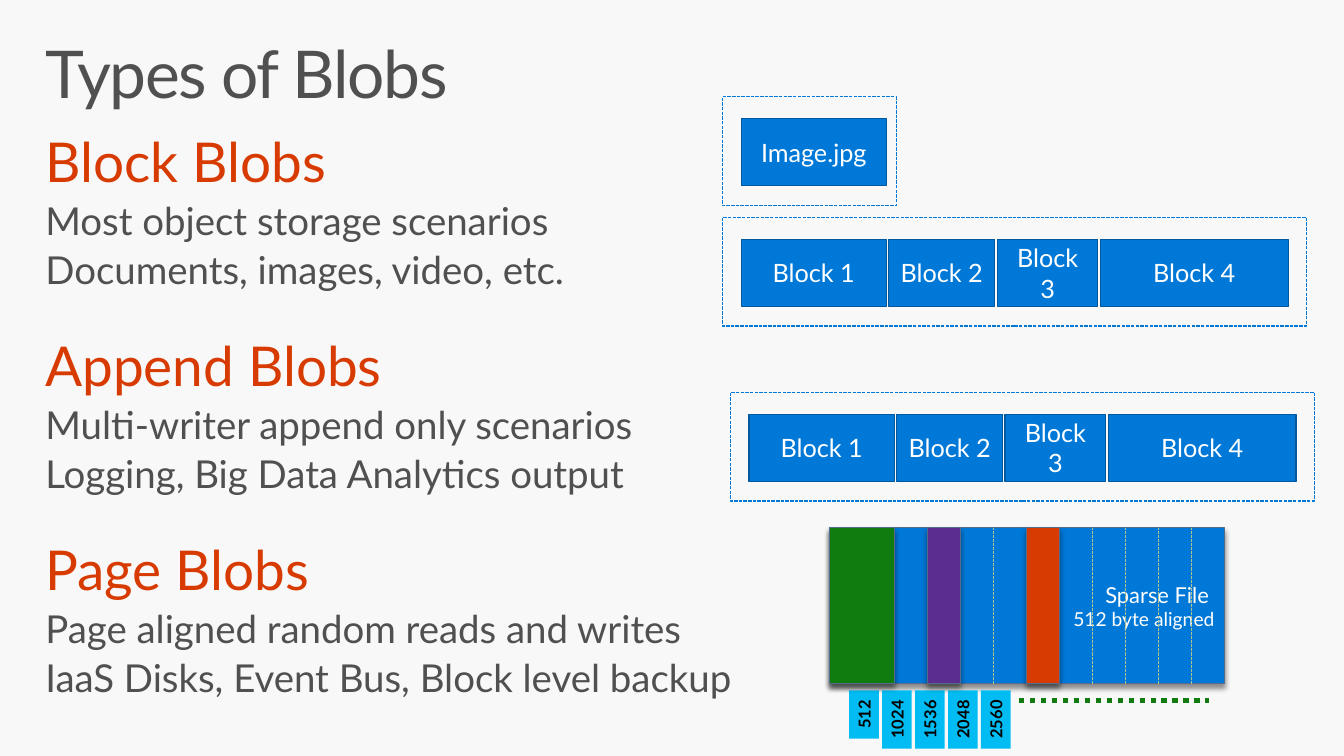
from dataclasses import dataclass
from itertools import accumulate

from lxml import etree
from pptx import Presentation
from pptx.dml.color import RGBColor as RGB
from pptx.enum.dml import MSO_LINE as DASH
from pptx.enum.shapes import MSO_CONNECTOR as CONN, MSO_SHAPE as SHAPE
from pptx.enum.text import MSO_ANCHOR as ANCHOR, MSO_AUTO_SIZE as AUTO, PP_ALIGN as ALIGN
from pptx.oxml import parse_xml
from pptx.oxml.ns import nsdecls, qn
from pptx.util import Inches, Pt

COLS, ROWS = 136, 76.5
CELL = Inches(0.1)


@dataclass(frozen=True)
class Theme:
    font: str = "Lato"
    back: str = "F8F8F8"
    text: str = "505050"
    white: str = "FFFFFF"
    black: str = "000000"
    blue: str = "0078D7"
    edge: str = "00599F"
    cyan: str = "00BCF2"
    green: str = "107C10"
    purple: str = "5C2D91"
    orange: str = "D83B01"
    slate: str = "566C8E"
    divider: str = "B1C28D"
    title: float = 48
    heading: float = 40
    detail: float = 28
    block: float = 18.4
    sparse: float = 16
    note: float = 14
    offset: float = 12
    thin: float = 0.75
    outline: float = 0.85
    dots: float = 4


T = Theme()

SECTIONS = [
    ("Block Blobs", "Most object storage scenarios", "Documents, images, video, etc."),
    ("Append Blobs", "Multi-writer append only scenarios", "Logging, Big Data Analytics output"),
    ("Page Blobs", "Page aligned random reads and writes",
     "IaaS Disks, Event Bus, Block level backup"),
]
BLOCKS = [("Block 1", 14.7), ("Block 2", 10.7), ("Block 3", 10.2), ("Block 4", 19)]
BLOCK_GAP, BLOCK_H = 0.25, 6.8
SPARSE_X, SPARSE_Y, SPARSE_W, SPARSE_H = 83.9, 53.4, 40, 15.8
PAGES = 12
PAGE_W = SPARSE_W / PAGES
USED_PAGES = [(0, 2, T.green), (3, 1, T.purple), (6, 1, T.orange)]
OFFSETS = ["512", "1024", "1536", "2048", "2560"]


def grid(*cells):
    return [round(c * CELL) for c in cells]


def apply(obj, **values):
    for name, value in values.items():
        setattr(obj, name, value)


def style_line(line, color, width, dash=None):
    line.color.rgb = RGB.from_string(color)
    apply(line, width=Pt(width), dash_style=dash)


def write(p, text, size, color, bold=False, **layout):
    apply(p, **layout)
    r = p.add_run()
    r.text = text
    apply(r.font, name=T.font, size=Pt(size), bold=bold)
    r.font.color.rgb = RGB.from_string(color)
    return r


def add_rect(s, x, y, w, h, fill=None, line=None, width=T.outline, dash=None):
    sp = s.shapes.add_shape(SHAPE.RECTANGLE, *grid(x, y, w, h))
    sp.shadow.inherit = False
    if fill:
        sp.fill.solid()
        sp.fill.fore_color.rgb = RGB.from_string(fill)
    else:
        sp.fill.background()
    if line:
        style_line(sp.line, line, width, dash)
    else:
        sp.line.fill.background()
    return sp


def add_page_area(s, first, count, fill):
    sp = add_rect(s, SPARSE_X + first * PAGE_W, SPARSE_Y, count * PAGE_W, SPARSE_H,
                  fill, T.slate, T.thin)
    sp._element.spPr.find(qn("a:effectLst")).append(parse_xml(
        f'<a:outerShdw {nsdecls("a")} blurRad="{Pt(4)}" dist="{Pt(3)}" dir="5400000" '
        f'rotWithShape="0"><a:srgbClr val="{T.black}"><a:alpha val="43000"/>'
        '</a:srgbClr></a:outerShdw>'))
    return sp


def add_line(s, x1, y1, x2, y2, color, width, dash):
    c = s.shapes.add_connector(CONN.STRAIGHT, *grid(x1, y1, x2, y2))
    style_line(c.line, color, width, dash)
    etree.SubElement(c._element.spPr, qn("a:effectLst"))


def add_title(s, text):
    sp = s.shapes.title
    left, top, width, height = grid(3, 3.2, 130, 10)
    apply(sp, left=left, top=top, width=width, height=height)
    tf = sp.text_frame
    apply(tf, margin_left=Inches(0.16), margin_right=Inches(0.16), margin_top=Inches(0.1),
          margin_bottom=Inches(0.1), vertical_anchor=ANCHOR.TOP, auto_size=AUTO.NONE)
    r = write(tf.paragraphs[0], text, T.title, T.text, alignment=ALIGN.LEFT, line_spacing=0.9)
    r.font._element.set("spc", "-100")


def add_sections(s):
    tf = s.shapes.add_textbox(*grid(3, 12.7, 75, 61.4)).text_frame
    apply(tf, word_wrap=True, margin_left=Inches(0.16), margin_right=Inches(0.16),
          margin_top=Inches(0.1), margin_bottom=Inches(0.1))
    for i, (heading, *details) in enumerate(SECTIONS):
        p = tf.add_paragraph() if i else tf.paragraphs[0]
        write(p, heading, T.heading, T.orange, line_spacing=0.9,
              space_before=Pt(33.6 if i else 0))
        for detail in details:
            write(tf.add_paragraph(), detail, T.detail, T.text,
                  line_spacing=0.9, space_before=Pt(5.6))


def add_blob(s, x, y, frame_w, blocks):
    starts = accumulate((w + BLOCK_GAP for _, w in blocks), initial=x)
    for left, (label, w) in zip(starts, blocks):
        tf = add_rect(s, left, y, w, BLOCK_H, T.blue, T.edge).text_frame
        apply(tf, word_wrap=True, vertical_anchor=ANCHOR.MIDDLE)
        write(tf.paragraphs[0], label, T.block, T.white, alignment=ALIGN.CENTER)
    add_rect(s, x - 1.9, y - 2.2, frame_w, 11, line=T.blue, dash=DASH.SQUARE_DOT)


def add_offset(s, page, label):
    length, thick, top = len(label) + 1.9, 3, 69.85
    center = SPARSE_X + page * PAGE_W + 0.2
    sp = add_rect(s, center - length / 2, top + (length - thick) / 2, length, thick, T.cyan)
    sp.rotation = 270
    apply(sp.text_frame, word_wrap=False, vertical_anchor=ANCHOR.MIDDLE)
    write(sp.text_frame.paragraphs[0], label, T.offset, T.black, True, alignment=ALIGN.CENTER)


def add_sparse_file(s):
    tf = add_page_area(s, 0, PAGES, T.blue).text_frame
    apply(tf, word_wrap=True, vertical_anchor=ANCHOR.MIDDLE)
    write(tf.paragraphs[0], "Sparse File ", T.sparse, T.white, alignment=ALIGN.RIGHT)
    write(tf.add_paragraph(), "512 byte aligned", T.note, T.white, alignment=ALIGN.RIGHT)
    for page in range(1, PAGES):
        x = SPARSE_X + page * PAGE_W
        add_line(s, x, SPARSE_Y + SPARSE_H, x, SPARSE_Y, T.divider, T.thin, DASH.SQUARE_DOT)
    for page, label in enumerate(OFFSETS, 1):
        add_offset(s, page, label)
    add_line(s, 103.1, 70.9, 122.3, 70.9, T.green, T.dots, DASH.ROUND_DOT)
    for area in USED_PAGES:
        add_page_area(s, *area)


def main():
    prs = Presentation()
    prs.slide_width, prs.slide_height = grid(COLS, ROWS)
    s = prs.slides.add_slide(prs.slide_layouts.get_by_name("Title Only"))
    s.background.fill.solid()
    s.background.fill.fore_color.rgb = RGB.from_string(T.back)
    add_title(s, "Types of Blobs")
    add_sections(s)
    add_blob(s, 75, 12, 17.6, [("Image.jpg", 14.7)])
    add_blob(s, 75, 24.2, 59.1, BLOCKS)
    add_blob(s, 75.8, 41.9, 59.1, BLOCKS)
    add_sparse_file(s)
    prs.save("out.pptx")


if __name__ == "__main__":
    main()
